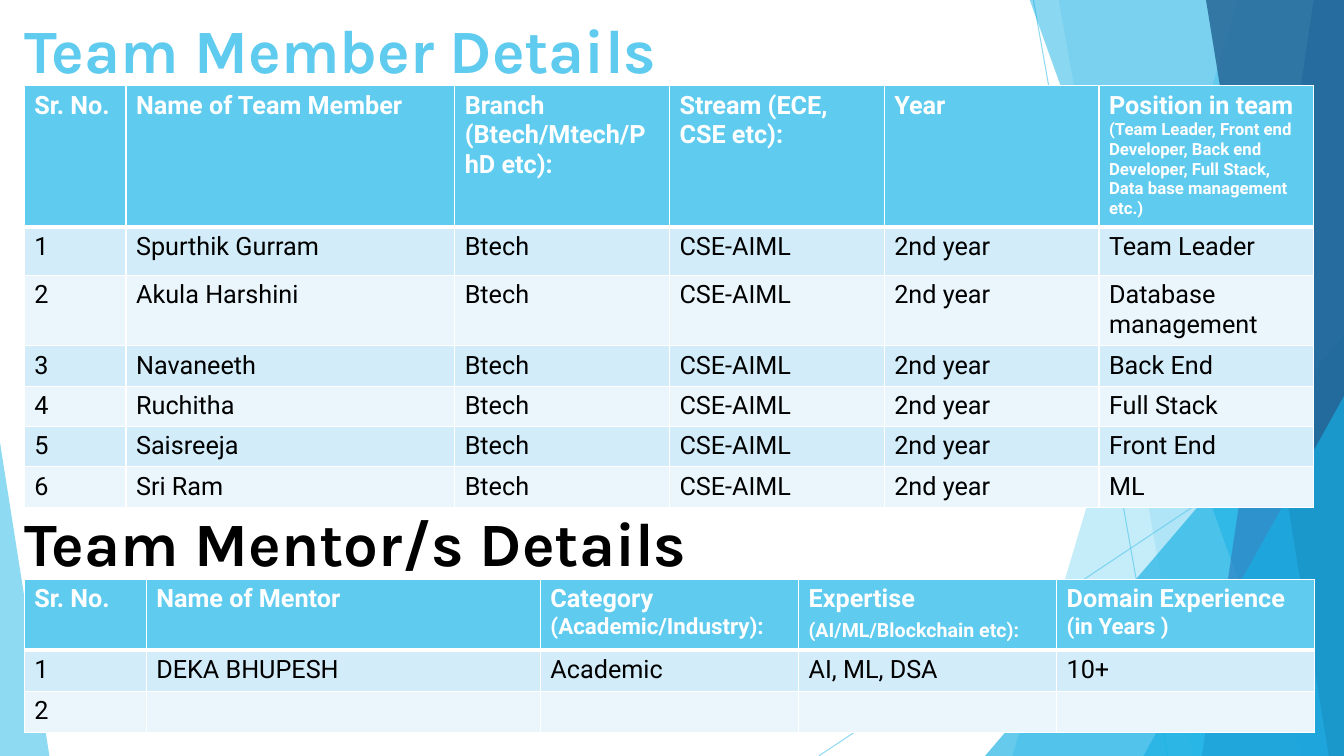
from pptx import Presentation
from pptx.dml.color import RGBColor
from pptx.enum.shapes import MSO_CONNECTOR as Connector, MSO_SHAPE as Shape
from pptx.enum.text import MSO_ANCHOR as Anchor
from pptx.oxml.ns import qn
from pptx.util import Inches, Pt
from lxml.etree import SubElement

WIDTH, HEIGHT = 13.33, 7.5
LEFT = 0.24
COLORS = {
    "sky": "5FCBEF", "cyan": "17B0E4", "blue": "2E83C3", "navy": "226292",
    "odd": "D2ECF9", "even": "EAF6FC", "white": "FFFFFF", "black": "000000",
}


class SlideBuilder:
    heading_font = "Karla"
    table_font = "Roboto"

    def __init__(self, slide):
        self.slide = slide

    def color(self, name):
        return RGBColor.from_string(COLORS[name])

    def set_opacity(self, shape, percent):
        for color in shape._element.spPr.iter(qn("a:srgbClr")):
            SubElement(color, qn("a:alpha"), val=str(percent * 1000))

    def paint(self, shape, color, opacity):
        shape.shadow.inherit = False
        shape.fill.solid()
        shape.fill.fore_color.rgb = self.color(color)
        shape.line.fill.background()
        self.set_opacity(shape, opacity)

    def line(self, x1, y1, x2, y2):
        connector = self.slide.shapes.add_connector(
            Connector.STRAIGHT, Inches(x1), Inches(y1), Inches(x2), Inches(y2))
        connector.line.color.rgb = self.color("sky")
        connector.line.width = Pt(0.75)
        self.set_opacity(connector, 70)
        SubElement(connector._element.spPr, qn("a:effectLst"))

    def right_band(self, top_x, bottom_x, color, opacity):
        top = -0.01
        corners = [(WIDTH, top), (WIDTH, HEIGHT), (bottom_x, HEIGHT)]
        builder = self.slide.shapes.build_freeform(Inches(top_x), Inches(top))
        builder.add_line_segments([(Inches(x), Inches(y)) for x, y in corners])
        self.paint(builder.convert_to_shape(), color, opacity)

    def triangle(self, left, top, width, tip, color, opacity):
        shape = self.slide.shapes.add_shape(
            Shape.ISOSCELES_TRIANGLE, Inches(left), Inches(top),
            Inches(width), Inches(HEIGHT - top))
        shape.adjustments[0] = tip
        self.paint(shape, color, opacity)

    def add_run(self, paragraph, text, font, size, color, bold):
        run = paragraph.add_run()
        run.text = text
        run.font.name = font
        run.font.size = Pt(size)
        run.font.bold = bold
        run.font.color.rgb = self.color(color)

    def heading(self, text, top, color):
        box = self.slide.shapes.add_textbox(
            Inches(LEFT), Inches(top), Inches(7.24), Inches(0.67))
        frame = box.text_frame
        frame.word_wrap = True
        frame.vertical_anchor = Anchor.BOTTOM
        frame.margin_left = frame.margin_right = 0
        frame.margin_top = frame.margin_bottom = 0
        paragraph = frame.paragraphs[0]
        paragraph.line_spacing = 0.9
        self.add_run(paragraph, text, self.heading_font, 44, color, True)

    def border(self, cell, side, width):
        line = SubElement(cell._tc.get_or_add_tcPr(), qn(f"a:ln{side}"), w=str(Pt(width)))
        fill = SubElement(line, qn("a:solidFill"))
        SubElement(fill, qn("a:srgbClr"), val=COLORS["white"])

    def fill_cell(self, cell, row, runs):
        widths = {"L": 1, "R": 1, "T": 3 if row == 1 else 1, "B": 3 if row == 0 else 1}
        for side, width in widths.items():
            self.border(cell, side, width)
        cell.fill.solid()
        fill = "sky" if row == 0 else "odd" if row % 2 else "even"
        cell.fill.fore_color.rgb = self.color(fill)
        color = "white" if row == 0 else "black"
        for text, size in runs:
            self.add_run(cell.text_frame.paragraphs[0], text,
                         self.table_font, size, color, row == 0)

    def table(self, top, column_widths, row_heights, header, records):
        frame = self.slide.shapes.add_table(
            len(row_heights), len(column_widths), Inches(LEFT), Inches(top),
            Inches(sum(column_widths)), Inches(sum(row_heights)))
        table = frame.table
        for column, width in zip(table.columns, column_widths):
            column.width = Inches(width)
        for row, height in zip(table.rows, row_heights):
            row.height = Inches(height)
        body = [[[(text, 18)] if text else [] for text in record] for record in records]
        for row, cells in enumerate([header] + body):
            for column, runs in enumerate(cells):
                self.fill_cell(table.cell(row, column), row, runs)


def draw_background(builder):
    builder.line(10.25, 0, 11.58, HEIGHT)
    builder.line(WIDTH, 4.03, 8.12, HEIGHT)
    builder.right_band(12.28, 10.04, "sky", 36)
    builder.right_band(10.5, 11.83, "sky", 20)
    builder.triangle(9.77, 3.33, 3.56, 1, "cyan", 66)
    builder.right_band(10.21, 12.91, "cyan", 50)
    builder.right_band(13.03, 11.92, "blue", 70)
    builder.right_band(11.96, 13.18, "navy", 80)
    builder.triangle(11.34, 3.93, 1.99, 1, "cyan", 66)
    builder.triangle(0, 4.39, 0.49, 0, "sky", 70)


def draw_members(builder):
    header = [
        [("Sr. No.", 18)],
        [("Name of Team Member", 18)],
        [("Branch (Btech/Mtech/PhD etc):", 18)],
        [("Stream (ECE, CSE etc):", 18)],
        [("Year", 18)],
        [("Position in team ", 18),
         ("(Team Leader, Front end Developer, Back end Developer, Full Stack, "
          "Data base management etc.)", 12)],
    ]
    members = [
        ("Spurthik Gurram", "Team Leader"),
        ("Akula Harshini", "Database management"),
        ("Navaneeth", "Back End"),
        ("Ruchitha", "Full Stack"),
        ("Saisreeja", "Front End"),
        ("Sri Ram", "ML"),
    ]
    records = [(str(number), name, "Btech", "CSE-AIML", "2nd year", position)
               for number, (name, position) in enumerate(members, 1)]
    builder.heading("Team Member Details", 0.19, "sky")
    builder.table(0.85, [1.01, 3.26] + [2.13] * 4,
                  [1.36, 0.48, 0.69] + [0.39] * 4, header, records)


def draw_mentors(builder):
    header = [
        [("Sr. No.", 18)],
        [("Name of Mentor", 18)],
        [("Category ", 18), ("(Academic/Industry):", 16)],
        [("Expertise ", 18), ("(AI/ML/Blockchain etc):", 14), (" ", 18)],
        [("Domain Experience ", 18), ("(in Years )", 16)],
    ]
    records = [
        ("1", "DEKA BHUPESH", "Academic", "AI, ML, DSA", "10+"),
        ("2", "", "", "", ""),
    ]
    builder.table(5.75, [1.21, 3.91] + [2.56] * 3, [0.69, 0.41, 0.41], header, records)
    builder.heading("Team Mentor/s Details", 5.08, "black")


def main():
    presentation = Presentation()
    presentation.slide_width = Inches(WIDTH)
    presentation.slide_height = Inches(HEIGHT)
    builder = SlideBuilder(presentation.slides.add_slide(presentation.slide_layouts[6]))
    draw_background(builder)
    draw_members(builder)
    draw_mentors(builder)
    presentation.save("out.pptx")


if __name__ == "__main__":
    main()
